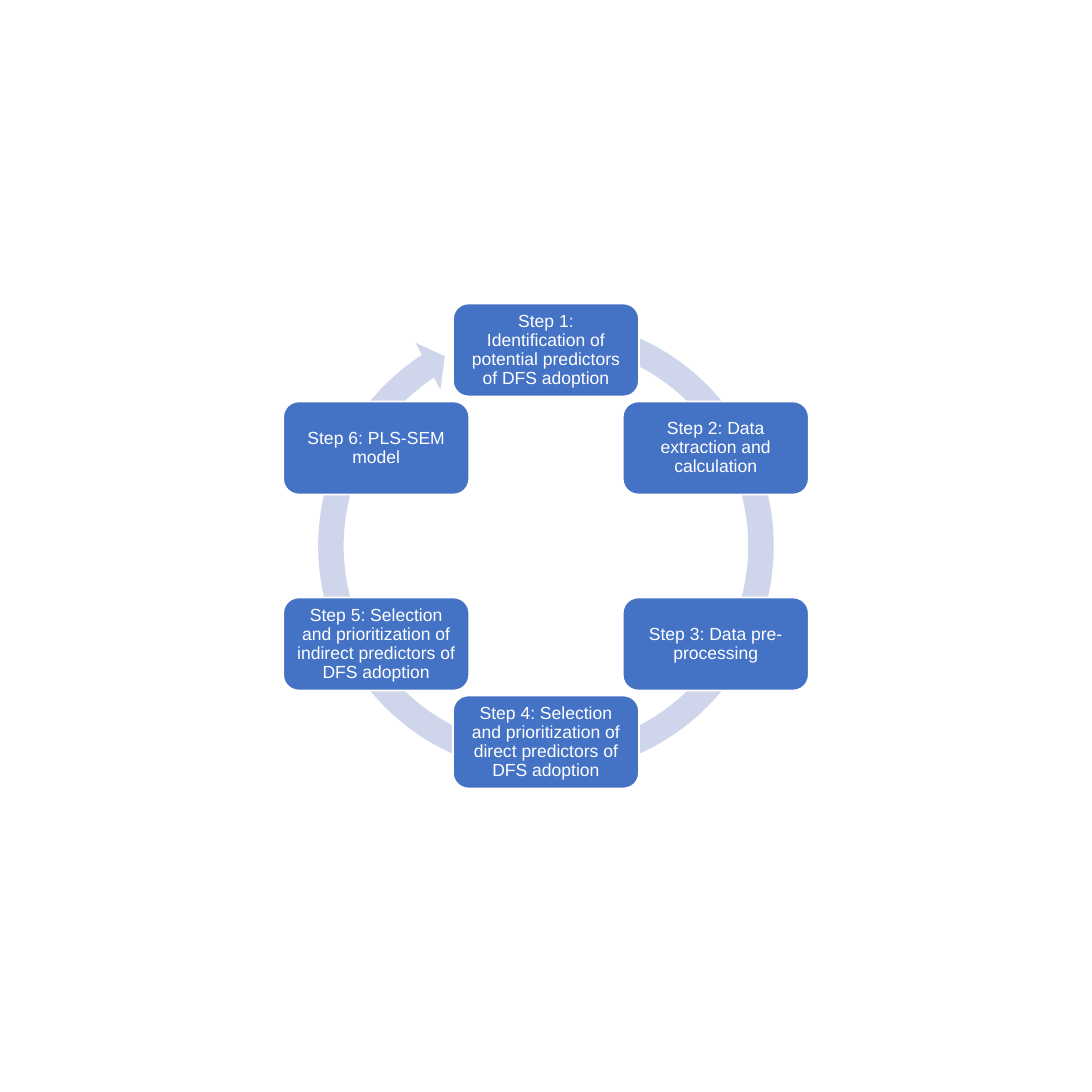
import math

import pptx
import pptx.util
import pptx.dml.color
import pptx.enum.shapes
import pptx.enum.text

COLORS = {"box": "4472C4", "ring": "CFD5EA", "white": "FFFFFF"}
SIDE = pptx.util.Inches(17.32)
CENTER = 50
RADIUS = 17.95
BOX_WIDTH = 17.04
BOX_HEIGHT = BOX_WIDTH / 2
BOX_INSET = 0.87
RING_SIZE = 44.23
STEPS = [
    "Step 1: Identification of potential predictors of DFS adoption",
    "Step 2: Data extraction and calculation",
    "Step 3: Data pre-processing",
    "Step 4: Selection and prioritization of direct predictors of DFS adoption",
    "Step 5: Selection and prioritization of indirect predictors of DFS adoption",
    "Step 6: PLS-SEM model",
]


def share(percent):
    return round(SIDE * percent / 100)


def color(name):
    return pptx.dml.color.RGBColor.from_string(COLORS[name])


def add_centered_shape(slide, kind, center_x, center_y, width, height, fill):
    shape = slide.shapes.add_shape(
        kind,
        share(center_x - width / 2),
        share(center_y - height / 2),
        share(width),
        share(height),
    )
    shape.shadow.inherit = False
    shape.fill.solid()
    shape.fill.fore_color.rgb = color(fill)
    return shape


def add_ring_arrow(slide):
    ring = add_centered_shape(
        slide, pptx.enum.shapes.MSO_SHAPE.CIRCULAR_ARROW,
        CENTER, CENTER, RING_SIZE, RING_SIZE, "ring",
    )
    ring.line.fill.background()
    thickness, head_width = 5.27 / 100, 5.48 / 100
    angles = [degrees * 0.6 for degrees in (5.21, 236.72, 285.69)]
    for index, value in enumerate([thickness, *angles, head_width]):
        ring.adjustments[index] = value


def add_step(slide, text, angle):
    box = add_centered_shape(
        slide, pptx.enum.shapes.MSO_SHAPE.ROUNDED_RECTANGLE,
        CENTER + RADIUS * math.sin(angle),
        CENTER - RADIUS * math.cos(angle),
        BOX_WIDTH, BOX_HEIGHT, "box",
    )
    box.line.color.rgb = color("white")
    box.line.width = pptx.util.Pt(2)
    frame = box.text_frame
    frame.word_wrap = True
    frame.vertical_anchor = pptx.enum.text.MSO_ANCHOR.MIDDLE
    frame.margin_left = frame.margin_right = share(BOX_INSET)
    frame.margin_top = frame.margin_bottom = share(BOX_INSET)
    frame.text = text
    paragraph = frame.paragraphs[0]
    paragraph.alignment = pptx.enum.text.PP_ALIGN.CENTER
    paragraph.line_spacing = 0.9
    paragraph.font.name = "Arial"
    paragraph.font.size = pptx.util.Pt(20)
    paragraph.font.color.rgb = color("white")


def main():
    presentation = pptx.Presentation()
    presentation.slide_width = presentation.slide_height = SIDE
    slide = presentation.slides.add_slide(presentation.slide_layouts[6])
    add_ring_arrow(slide)
    for index, text in enumerate(STEPS):
        add_step(slide, text, index * math.tau / len(STEPS))
    presentation.save("out.pptx")


if __name__ == "__main__":
    main()
